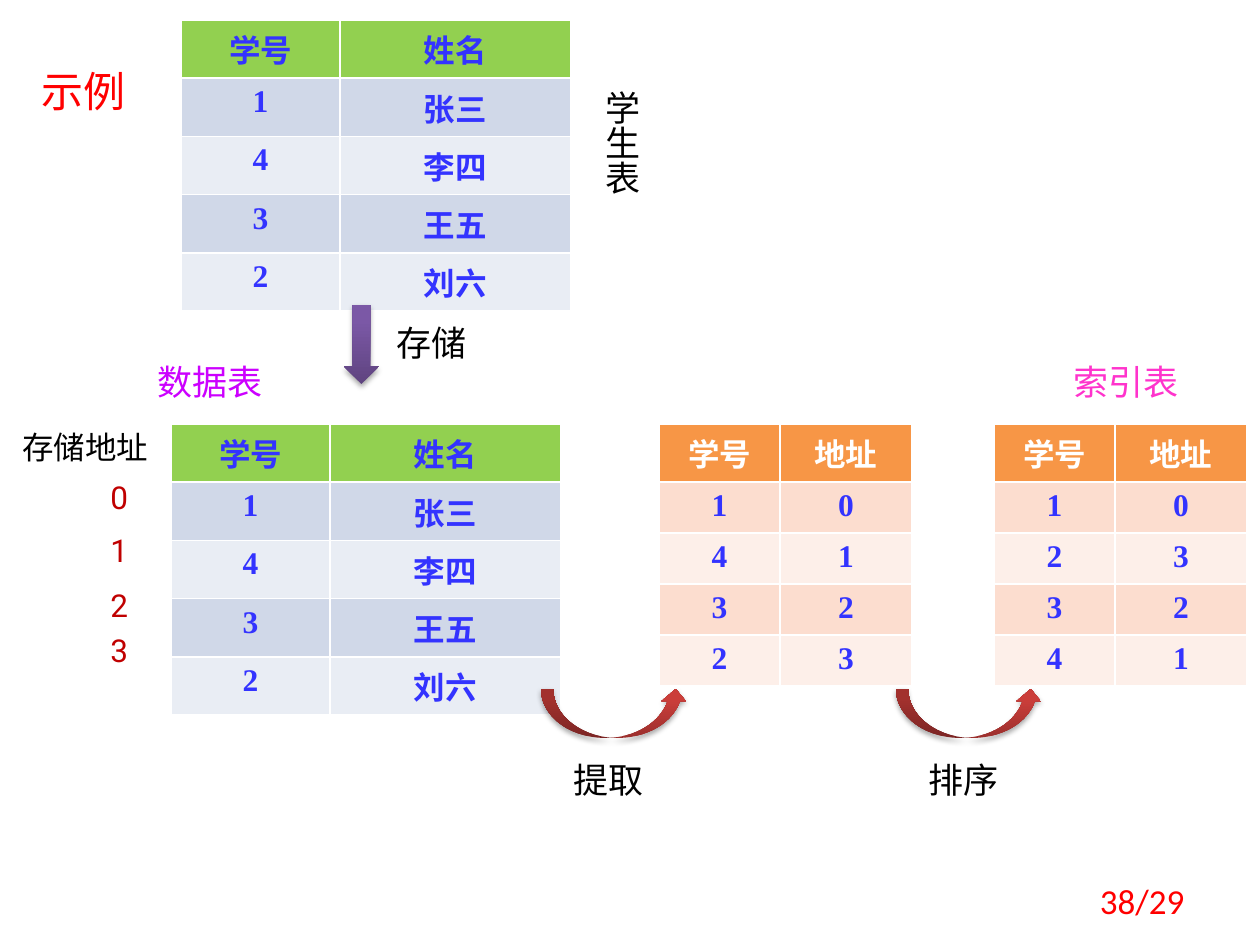
from lxml import etree
from pptx import Presentation
from pptx.dml.color import RGBColor
from pptx.enum.shapes import MSO_SHAPE
from pptx.enum.text import MSO_ANCHOR, MSO_AUTO_SIZE, PP_ALIGN
from pptx.oxml import parse_xml
from pptx.oxml.ns import nsdecls, qn
from pptx.util import Pt

LEFT, MID, RIGHT = PP_ALIGN.LEFT, PP_ALIGN.CENTER, PP_ALIGN.RIGHT
TOP, CENTER = MSO_ANCHOR.TOP, MSO_ANCHOR.MIDDLE
GROW, FIXED = MSO_AUTO_SIZE.SHAPE_TO_FIT_TEXT, MSO_AUTO_SIZE.NONE
DOWN, CURVE = MSO_SHAPE.DOWN_ARROW, MSO_SHAPE.CURVED_UP_ARROW

SCALE = 914400 / 126
HAN = "Noto Sans CJK SC"
SANS = "Roboto"
SERIF = "Times New Roman"
ROW = 51
HUES = {
    "black": "000000", "white": "FFFFFF", "blue": "3333FF",
    "red": "FF0000", "brick": "C00000", "violet": "CC00FF", "pink": "FF33CC",
    "green": "92D050", "mist": "D0D8E8", "pale": "E9EDF4",
    "orange": "F79646", "peach": "FCDDCF", "cream": "FDEFE9",
    "plum": "5F4480", "lilac": "7B58A6", "rust": "9C2F2D", "coral": "CB3E3A",
}
DATA = {"head": "green", "ink": "blue", "bands": ("mist", "pale"), "cols": (159, 231)}
INDEX = {"head": "orange", "ink": "white", "bands": ("peach", "cream"), "cols": (121, 132)}
PUPILS = [("学号", "姓名"), ("1", "张三"), ("4", "李四"), ("3", "王五"), ("2", "刘六")]
HEAD = ("学号", "地址")
PAIRS = [("1", "0"), ("4", "1"), ("3", "2"), ("2", "3")]


def px(*vals):
    return [round(val * SCALE) for val in vals]


def hue(name):
    return RGBColor.from_string(HUES[name])


def write(frame, text, size, color, face, align=LEFT, bold=False):
    frame.text = text
    para = frame.paragraphs[0]
    para.alignment = align
    font = para.font
    font.size = Pt(size)
    font.bold = bold
    font.color.rgb = hue(color)
    font.name = face
    base = para._p.pPr.find(qn("a:defRPr"))
    etree.SubElement(base, qn("a:ea")).set("typeface", HAN)


def label(slide, text, box, size=20, color="black", face=HAN, align=LEFT):
    shape = slide.shapes.add_textbox(*px(*box))
    frame = shape.text_frame
    frame.word_wrap = True
    frame.auto_size = GROW
    write(frame, text, size, color, face, align)
    return frame


def title(slide, text, box):
    shape = slide.shapes.title
    shape.left, shape.top, shape.width, shape.height = px(*box)
    frame = shape.text_frame
    frame.vertical_anchor = TOP
    frame.auto_size = FIXED
    write(frame, text, 24, "red", HAN)


def grid(slide, rows, left, top, look):
    cols = look["cols"]
    box = px(left, top, sum(cols), ROW * len(rows))
    table = slide.shapes.add_table(len(rows), len(cols), *box).table
    for col, wide in zip(table.columns, px(*cols)):
        col.width = wide
    for i, row in enumerate(rows):
        table.rows[i].height = px(ROW)[0]
        fill = look["bands"][(i - 1) % 2] if i else look["head"]
        ink = "blue" if i else look["ink"]
        for j, text in enumerate(row):
            cell = table.cell(i, j)
            cell.fill.solid()
            cell.fill.fore_color.rgb = hue(fill)
            write(cell.text_frame, text, 18, ink, SERIF, MID, True)


def arrow(slide, kind, box, dark, light):
    shape = slide.shapes.add_shape(kind, *px(*box))
    shape.line.fill.background()
    fill = shape.fill
    fill.gradient()
    fill.gradient_angle = 90
    for stop, name, place in zip(fill.gradient_stops, (dark, light), (0, 0.8)):
        stop.color.rgb = hue(name)
        stop.position = place
    shape.shadow.inherit = False
    shape._element.spPr.find(qn("a:effectLst")).append(parse_xml(
        f'<a:outerShdw {nsdecls("a")} blurRad="{Pt(3.1)}" dist="{Pt(1.8)}" '
        'dir="5400000" rotWithShape="0"><a:srgbClr val="000000">'
        '<a:alpha val="35000"/></a:srgbClr></a:outerShdw>'))


def step(slide, text, left):
    arrow(slide, CURVE, (left, 689, 147, 49), "rust", "coral")
    label(slide, text, (left + 20, 752, 108, 55))


def main():
    deck = Presentation()
    deck.slide_width, deck.slide_height = px(1260, 945)
    slide = deck.slides.add_slide(deck.slide_layouts[5])
    title(slide, "示例", (29, 59, 147, 63))

    grid(slide, PUPILS, 181, 20, DATA)
    grid(slide, PUPILS, 171, 424, DATA)
    grid(slide, [HEAD] + PAIRS, 659, 424, INDEX)
    grid(slide, [HEAD] + sorted(PAIRS), 994, 424, INDEX)

    side = label(slide, "学生表", (581, 78, 68, 137))
    side._txBody.bodyPr.set("vert", "eaVert")

    step(slide, "提取", 541)
    step(slide, "排序", 896)

    for i, top in enumerate((472, 525, 580, 625)):
        label(slide, str(i), (98, top, 59, 50), 18, "brick", SANS)
    label(slide, "存储地址", (10, 422, 158, 50), 18)
    label(slide, "存储", (384, 315, 118, 55), face=SANS)
    arrow(slide, DOWN, (344, 305, 35, 79), "plum", "lilac")
    label(slide, "数据表", (137, 354, 147, 55), 20, "violet", SANS, MID)
    label(slide, "索引表", (1053, 354, 147, 55), 20, "pink", SANS, MID)

    page = label(slide, "38/29", (903, 876, 294, 50), 20, "red", "Calibri", RIGHT)
    page.auto_size = FIXED
    page.vertical_anchor = CENTER
    deck.save("out.pptx")


if __name__ == "__main__":
    main()
